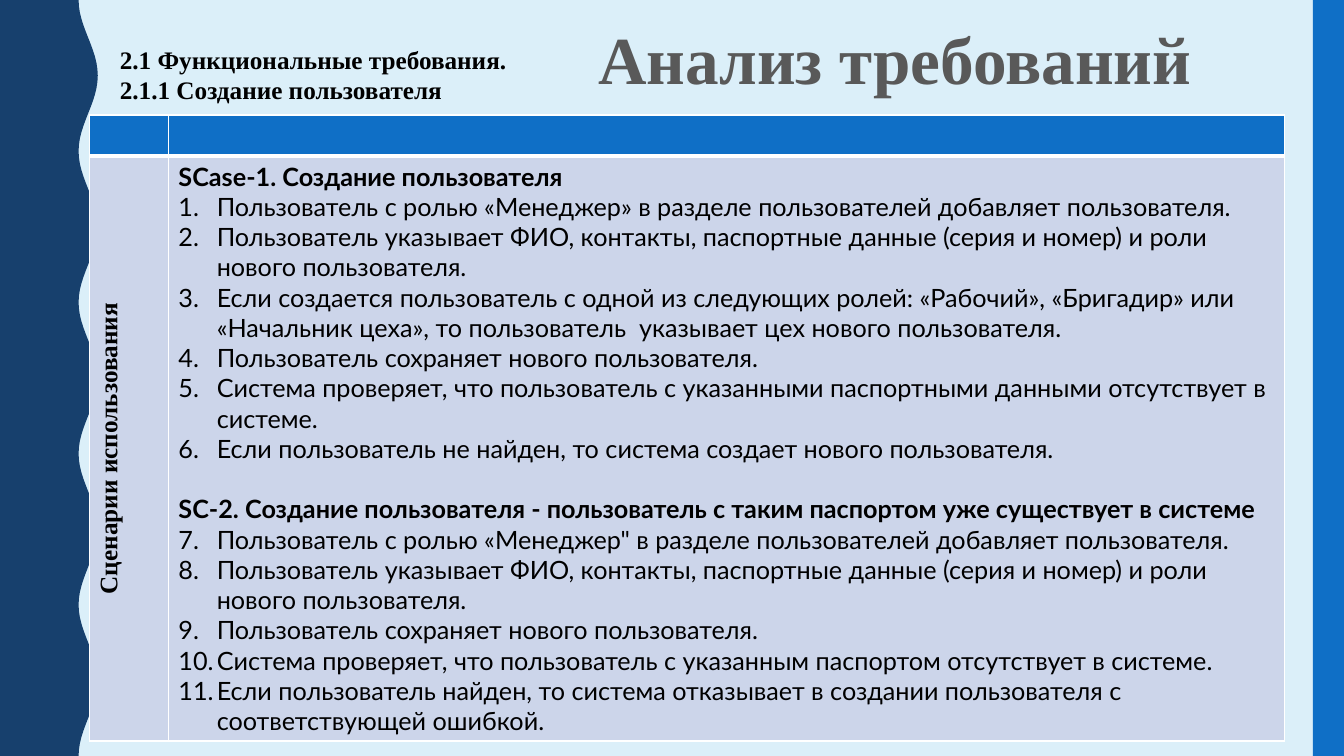
from math import cos, pi
from pptx import Presentation
from pptx.dml.color import RGBColor as RGB
from pptx.enum.shapes import MSO_SHAPE
from pptx.enum.text import MSO_ANCHOR, MSO_AUTO_SIZE, PP_ALIGN
from pptx.oxml import parse_xml
from pptx.oxml.ns import nsdecls
from pptx.util import Inches, Pt


class Theme:
    paper, navy, blue = RGB(0xDB, 0xEF, 0xF9), RGB(0x17, 0x40, 0x6D), RGB(0x0F, 0x6F, 0xC6)
    cell, grey, black = RGB(0xCC, 0xD5, 0xEA), RGB(0x59, 0x59, 0x59), RGB(0, 0, 0)
    border = "FFFFFF"
    serif, sans = "Times New Roman", "Lato"
    title, text = Pt(48), Pt(18)


def style(p, font, size, color, bold):
    for r in p.runs:
        r.font.name, r.font.size, r.font.bold = font, size, bold
        r.font.color.rgb = color


def paint(sp, color):
    sp.shadow.inherit = False
    sp.fill.solid()
    sp.fill.fore_color.rgb = color
    sp.line.fill.background()


SCENARIOS = [
    ("SCase-1. Создание пользователя", [
        "Пользователь с ролью «Менеджер» в разделе пользователей добавляет пользователя.",
        "Пользователь указывает ФИО, контакты, паспортные данные (серия и номер) и роли нового пользователя.",
        "Если создается пользователь с одной из следующих ролей: «Рабочий», «Бригадир» или «Начальник цеха», "
        "то пользователь  указывает цех нового пользователя.",
        "Пользователь сохраняет нового пользователя.",
        "Система проверяет, что пользователь с указанными паспортными данными отсутствует в системе.",
        "Если пользователь не найден, то система создает нового пользователя."]),
    ("SC-2. Создание пользователя - пользователь с таким паспортом уже существует в системе", [
        "Пользователь с ролью «Менеджер\" в разделе пользователей добавляет пользователя.",
        "Пользователь указывает ФИО, контакты, паспортные данные (серия и номер) и роли нового пользователя.",
        "Пользователь сохраняет нового пользователя.",
        "Система проверяет, что пользователь с указанным паспортом отсутствует в системе.",
        "Если пользователь найден, то система отказывает в создании пользователя с соответствующей ошибкой."]),
]

prs = Presentation()
prs.slide_width, prs.slide_height = Inches(13.33), Inches(7.5)
s = prs.slides.add_slide(prs.slide_layouts[5])
s.background.fill.solid()
s.background.fill.fore_color.rgb = Theme.paper

# Wavy left edge: five cosine periods of 1.5 inches
steps = 120
wave = []
for i in range(steps + 1):
    y = 7.5 * i / steps
    wave.append((Inches(0.875 - 0.095 * cos(2 * pi * y / 1.5)), Inches(y)))
outline = s.shapes.build_freeform(0, 0)
outline.add_line_segments(wave + [(0, Inches(7.5))], close=True)
paint(outline.convert_to_shape(), Theme.navy)

# Right stripe
stripe = s.shapes.add_shape(MSO_SHAPE.RECTANGLE, Inches(13.02), 0, Inches(0.31), Inches(7.5))
paint(stripe, Theme.blue)

# Title
title = s.shapes.title
title.left, title.top, title.width, title.height = Inches(5.02), Inches(0.12), Inches(7.71), Inches(0.9)
tf = title.text_frame
tf.text = "Анализ требований"
tf.auto_size, tf.vertical_anchor = MSO_AUTO_SIZE.NONE, MSO_ANCHOR.MIDDLE
p = tf.paragraphs[0]
p.alignment, p.space_before = PP_ALIGN.CENTER, Pt(7)
style(p, Theme.serif, Theme.title, Theme.grey, True)

# Scenario table
table = s.shapes.add_table(2, 2, Inches(0.89), Inches(1.14), Inches(11.85), Inches(6.21)).table
for col, width in zip(table.columns, (0.78, 11.07)):
    col.width = Inches(width)
for row, height in zip(table.rows, (0.41, 5.8)):
    row.height = Inches(height)

for i, row in enumerate(table.rows):
    for cell in row.cells:
        cell.fill.solid()
        cell.fill.fore_color.rgb = (Theme.blue, Theme.cell)[i]
        tcPr = cell._tc.get_or_add_tcPr()
        for n, side in enumerate("LRTB"):
            heavy = (i, side) in ((0, "B"), (1, "T"))
            tcPr.insert(n, parse_xml(
                f'<a:ln{side} {nsdecls("a")} w="{Pt(3 if heavy else 1)}"><a:solidFill>'
                f'<a:srgbClr val="{Theme.border}"/></a:solidFill></a:ln{side}>'))

# Rotated row label
label = table.cell(1, 0)
label.text = "Сценарии использования"
label._tc.get_or_add_tcPr().set("vert", "vert270")
p = label.text_frame.paragraphs[0]
p.alignment = PP_ALIGN.CENTER
style(p, Theme.serif, Theme.text, Theme.black, True)

# Scenarios with steps numbered throughout
tf = table.cell(1, 1).text_frame
number = 1
for i, (heading, actions) in enumerate(SCENARIOS):
    p = tf.add_paragraph() if i else tf.paragraphs[0]
    p.text = heading
    p.space_before = Pt(21.6 * i)
    style(p, Theme.sans, Theme.text, Theme.black, True)
    start = number
    for action in actions:
        p = tf.add_paragraph()
        p.text = action
        style(p, Theme.sans, Theme.text, Theme.black, False)
        pPr = p._p.get_or_add_pPr()
        pPr.set("marL", str(Inches(0.38)))
        pPr.set("indent", str(Inches(-0.38)))
        pPr.append(parse_xml(f'<a:buAutoNum {nsdecls("a")} type="arabicPeriod" startAt="{start}"/>'))
        number += 1

# Section heading
tf = s.shapes.add_textbox(Inches(1.09), Inches(0.39), Inches(4.08), Inches(0.71)).text_frame
tf.word_wrap = False
tf.text = "2.1 Функциональные требования.\n2.1.1 Создание пользователя"
for p in tf.paragraphs:
    style(p, Theme.serif, Theme.text, Theme.black, True)

prs.save("out.pptx")
